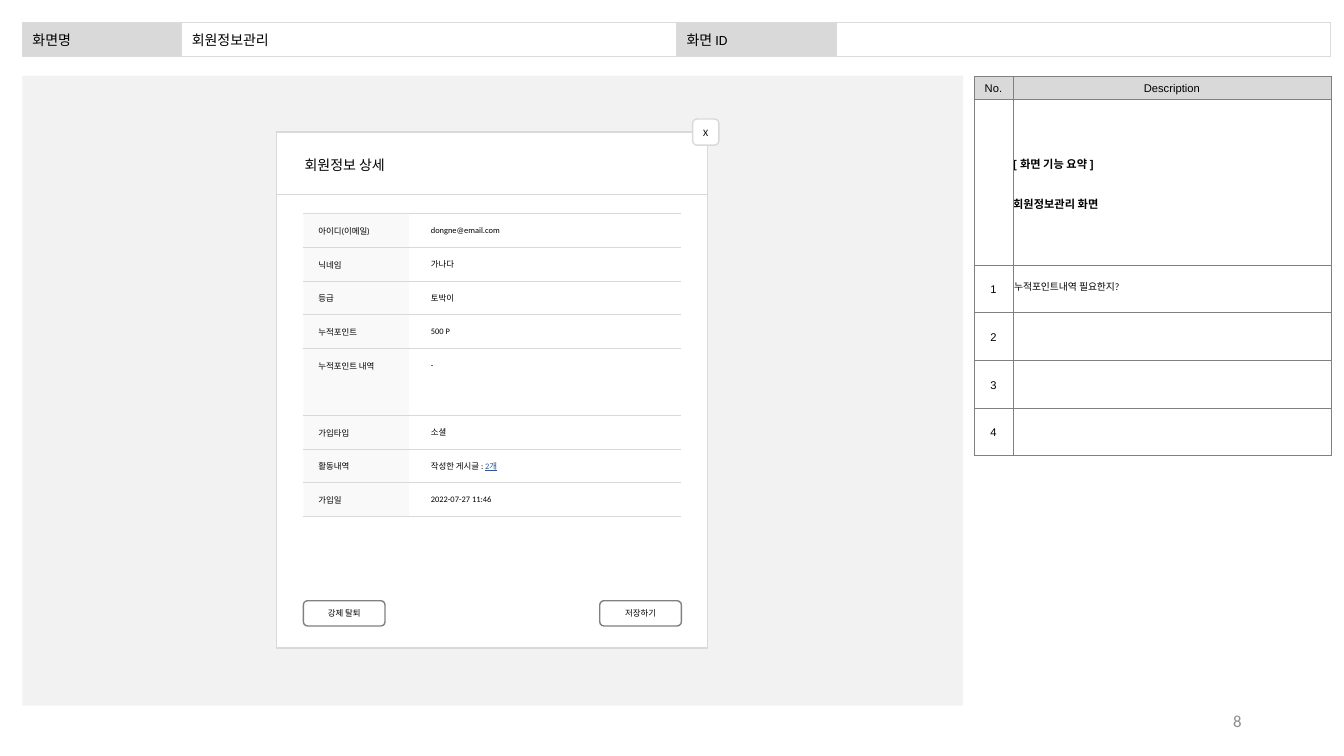
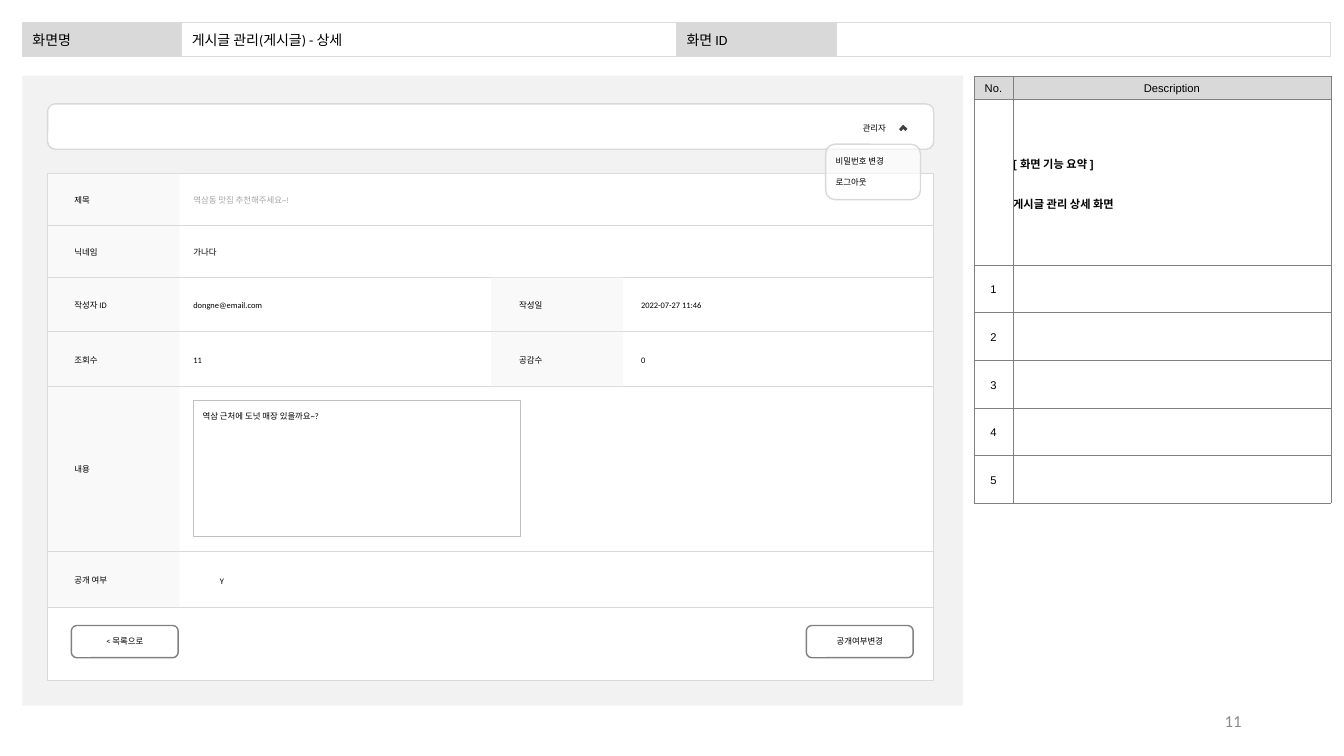
from itertools import accumulate

from pptx import Presentation
from pptx.dml.color import RGBColor
from pptx.enum.shapes import MSO_CONNECTOR, MSO_SHAPE
from pptx.enum.text import MSO_ANCHOR, MSO_AUTO_SIZE, PP_ALIGN
from pptx.oxml.ns import qn
from pptx.oxml.xmlchemy import OxmlElement
from pptx.util import Pt

RECT, ROUND, CORNER = MSO_SHAPE.RECTANGLE, MSO_SHAPE.ROUNDED_RECTANGLE, MSO_SHAPE.CORNER
STRAIGHT = MSO_CONNECTOR.STRAIGHT
TOP, MIDDLE = MSO_ANCHOR.TOP, MSO_ANCHOR.MIDDLE
LEFT, CENTER, RIGHT = PP_ALIGN.LEFT, PP_ALIGN.CENTER, PP_ALIGN.RIGHT
GROW = MSO_AUTO_SIZE.SHAPE_TO_FIT_TEXT

# Shared palette and sizes
WHITE, BLACK, PANEL, HEAD = "FFFFFF", "000000", "F2F2F2", "D9D9D9"
BORDER, DARK, HINT, PAGE, LINK = "DBDBDB", "808080", "A6A6A6", "8C8C8C", "2F5597"
SMALL = 6
CAPTION_H = 14.4


def rgb(value):
    return RGBColor.from_string(value)


def assign(target, values):
    for name, value in values.items():
        setattr(target, name, value)


def margins(left, top, right, bottom):
    sides = ("left", "top", "right", "bottom")
    return {f"margin_{s}": Pt(v) for s, v in zip(sides, (left, top, right, bottom))}


def write(paragraph, text, size=SMALL, color=BLACK, font="Calibri", align=LEFT, **extra):
    paragraph.alignment = align
    run = paragraph.add_run()
    run.text = text
    assign(run.font, {"size": Pt(size), "name": font, **extra})
    run.font.color.rgb = rgb(color)


# Basic parts
def block(slide, box, fill=None, line=None, weight=1, kind=RECT, alpha=None):
    shape = slide.shapes.add_shape(kind, *map(Pt, box))
    shape.shadow.inherit = False
    if fill:
        shape.fill.solid()
        shape.fill.fore_color.rgb = rgb(fill)
    else:
        shape.fill.background()
    if alpha:
        opacity = OxmlElement("a:alpha")
        opacity.set("val", str(alpha * 1000))
        shape._element.spPr.find(".//" + qn("a:srgbClr")).append(opacity)
    if line:
        shape.line.color.rgb = rgb(line)
        shape.line.width = Pt(weight)
    else:
        shape.line.fill.background()
    return shape


def rule(slide, left, top, width, weight=0.5):
    line = slide.shapes.add_connector(STRAIGHT, Pt(left), Pt(top), Pt(left + width), Pt(top))
    line.line.color.rgb = rgb(HEAD)
    line.line.width = Pt(weight)
    line._element.spPr.append(OxmlElement("a:effectLst"))


def caption(slide, left, top, width, text, height=CAPTION_H, **style):
    frame = slide.shapes.add_textbox(*map(Pt, (left, top, width, height))).text_frame
    assign(frame, {"word_wrap": True, "auto_size": GROW})
    write(frame.paragraphs[0], text, **style)
    return frame.paragraphs[0]


def button(slide, box, text, line=DARK, size=SMALL):
    frame = block(slide, box, WHITE, line, kind=ROUND).text_frame
    assign(frame, {"vertical_anchor": MIDDLE, **margins(0, 0, 0, 0)})
    write(frame.paragraphs[0], text, size, align=CENTER)


# Tables
def grid(slide, left, top, widths, heights):
    frame = slide.shapes.add_table(len(heights), len(widths), *map(
        Pt, (left, top, sum(widths), sum(heights))))
    table = frame.table
    assign(table, {"first_row": False, "horz_banding": False})
    for column, width in zip(table.columns, widths):
        column.width = Pt(width)
    for row, height in zip(table.rows, heights):
        row.height = Pt(height)
    return table


def dress(cell, fill, border, weight, insets):
    properties = cell._tc.get_or_add_tcPr()
    for side in ("a:lnL", "a:lnR", "a:lnT", "a:lnB"):
        edge, paint, color = map(OxmlElement, (side, "a:solidFill", "a:srgbClr"))
        edge.set("w", str(Pt(weight)))
        color.set("val", border)
        paint.append(color)
        edge.append(paint)
        properties.append(edge)
    if fill:
        cell.fill.solid()
        cell.fill.fore_color.rgb = rgb(fill)
    else:
        cell.fill.background()
    assign(cell, {"vertical_anchor": MIDDLE, **margins(*insets)})


def header(slide, left, top, screen_name):
    table = grid(slide, left, top, (113.8, 353.5, 114.5, 352.8), (24.5,))
    fills = (HEAD, None, HEAD, None)
    for cell, text, fill in zip(table.rows[0].cells, ("화면명", screen_name, "화면 ID", ""), fills):
        dress(cell, fill, BORDER, 0.75, (7.2, 3.6, 7.2, 3.6))
        if text:
            write(cell.text_frame.paragraphs[0], text, 10)
        else:
            cell.text_frame.paragraphs[0]._p.get_or_add_endParaRPr().set("sz", "1000")


def description(slide, left, top, summary, notes):
    rows = [("No.", "Description"), ("", ""),
            *((str(n), note) for n, note in enumerate(notes, 1))]
    table = grid(slide, left, top, (28.1, 226.8), [15.8, 118.8] + [34] * len(notes))
    for r, texts in enumerate(rows):
        for c, text in enumerate(texts):
            cell = table.cell(r, c)
            is_note = r > 1 and c == 1
            dress(cell, WHITE if r else HEAD, DARK, 0.25,
                  (0.7, 0.7, 0.7, 3.6) if is_note else (0, 0, 0, 0))
            paragraph = cell.text_frame.paragraphs[0]
            if is_note and text:
                write(paragraph, text, 7)
            elif text:
                paragraph.line_spacing = 1.2
                write(paragraph, text, 8, font="Arial", align=CENTER)
    # Summary of the screen
    frame = table.cell(1, 1).text_frame
    for paragraph, text in zip((frame.paragraphs[0], frame.add_paragraph()),
                               ("[ 화면 기능 요약 ]", summary)):
        assign(paragraph, {"line_spacing": 1.2})
        write(paragraph, text, 8, font="Arial", bold=True)
    frame.paragraphs[1].space_before = Pt(14)


def screen_page(deck, number, screen_name, summary, notes):
    slide = deck.slides.add_slide(deck.slide_layouts[6])
    block(slide, (16, 54, 672, 450), PANEL)
    page = slide.shapes.add_textbox(Pt(678), Pt(500.4), Pt(216), Pt(28.8)).text_frame
    assign(page, {"word_wrap": True, "vertical_anchor": MIDDLE})
    write(page.paragraphs[0], str(number), 12, PAGE, align=RIGHT)
    header(slide, 16, 16, screen_name)
    description(slide, 695.6, 54.7, summary, notes)
    return slide


def form_rows(slide, left, top, width, label_width, heights):
    """Shade the label column, rule off each row and return the row tops."""
    edges = list(accumulate(heights, initial=top))
    block(slide, (left, top, label_width, sum(heights)), PANEL, alpha=42)
    for edge in edges[1:]:
        rule(slide, left, edge, width)
    return edges[:-1]


# Member details dialog
def member_dialog(slide, box):
    left, top, width, height = box
    block(slide, box, WHITE, HEAD)
    caption(slide, left + 2.4, top + 13.7, 93, "회원정보 상세", 19.4, size=10, align=CENTER)
    rule(slide, left, top + 44.7, width, 1)
    button(slide, (left + 297.5, top - 9.3, 18.7, 18.7), "X", HEAD, 7)

    fields = [("아이디(이메일)", "dongne@email.com"), ("닉네임", "가나다"), ("등급", "토박이"),
              ("누적포인트", "500 P"), ("누적포인트 내역", "-"), ("가입타입", "소셜"),
              ("활동내역", "작성한 게시글 : "), ("가입일", "2022-07-27 11:46")]
    pitch, form_left, form_top, form_width = 24, left + 19.4, top + 58.4, 270
    heights = [pitch * (2 if label == "누적포인트 내역" else 1) for label, _ in fields]
    rule(slide, form_left, form_top, form_width)
    tops = form_rows(slide, form_left, form_top, form_width, 75.5, heights)
    for row_top, (label, value) in zip(tops, fields):
        caption(slide, form_left + 3.6, row_top + 5.4, 58.3, label)
        entry = caption(slide, form_left + 84, row_top + 4.8, 156, value)
        if label == "활동내역":
            write(entry, "2개", color=LINK, underline=True)

    button_w, button_h = 58.3, 18
    for x, text in ((form_left, "강제 탈퇴"), (form_left + form_width - button_w, "저장하기")):
        button(slide, (x, top + 334.8, button_w, button_h), text)


# Administrator bar with its open menu
def admin_bar(slide, box):
    left, top, width, height = box
    block(slide, box, WHITE, HEAD, kind=ROUND)
    caption(slide, left + 561.4, top + 10, 58.3, "관리자", align=CENTER)
    block(slide, (left + 609, top + 15.8, 4.3, 4.3), "404040", kind=CORNER).rotation = 132.5
    menu_left, menu_top = left + 555.8, top + 28.8
    block(slide, (menu_left, menu_top, 67.7, 39.6), WHITE, HEAD, kind=ROUND, alpha=64)
    for i, text in enumerate(("비밀번호 변경", "로그아웃")):
        caption(slide, menu_left, menu_top + 5 + 15.1 * i, 58.3, text)


# Post details form
def post_form(slide, box):
    left, top, width, height = box
    label_w, second = 94.3, left + 316.8
    heights = (37, 37, 39, 39, 118, 40)
    tops = form_rows(slide, left, top, width, label_w, heights)
    rows = [("제목", "역삼동 맛집 추천해주세요~!"), ("닉네임", "가나다"),
            ("작성자 ID", "dongne@email.com", "작성일", "2022-07-27 11:46"),
            ("조회수", "11", "공감수", "0"), ("내용",), ("공개 여부",)]
    for row_top, row_h, (label, *others) in zip(tops, heights, rows):
        text_top = row_top + (row_h - CAPTION_H) / 2 + 0.5
        caption(slide, left + 12, text_top, 58.3, label)
        if others:
            caption(slide, left + 97, text_top, 239, others[0],
                    color=HINT if label == "제목" else BLACK)
        if len(others) > 1:
            block(slide, (second, row_top, label_w, row_h), PANEL, alpha=42)
            caption(slide, second + 13, text_top, 58.3, others[1])
            caption(slide, second + 100, text_top, 156, others[2])
        if label == "공개 여부":
            caption(slide, left + 104.3, text_top + 0.7, 40.3, "Y", align=CENTER)

    # Post body
    body = block(slide, (left + 104.3, tops[4] + 10, 233.3, 97.2), line="BFBFBF", weight=0.5)
    assign(body.text_frame, {"vertical_anchor": TOP, "word_wrap": True,
                             **margins(6.5, 7.9, 7.2, 3.6)})
    write(body.text_frame.paragraphs[0], "역삼 근처에 도넛 매장 있을까요~?")

    for x, text in ((left + 17, "< 목록으로"), (left + 542, "공개여부변경")):
        button(slide, (x, top + 322.8, 76.3, 23), text)


deck = Presentation()
assign(deck, {"slide_width": Pt(960), "slide_height": Pt(540)})

member = screen_page(deck, 8, "회원정보관리", "회원정보관리 화면",
                     ("누적포인트내역 필요한지?", "", "", ""))
member_dialog(member, (197.3, 94.3, 308.2, 368.6))

post = screen_page(deck, 11, "게시글 관리(게시글) - 상세", "게시글 관리 상세 화면", [""] * 5)
card = (34, 124, 633, 362)
block(post, card, WHITE, HEAD)
admin_bar(post, (34, 74.2, 633, 32.4))
post_form(post, card)

deck.save("out.pptx")
